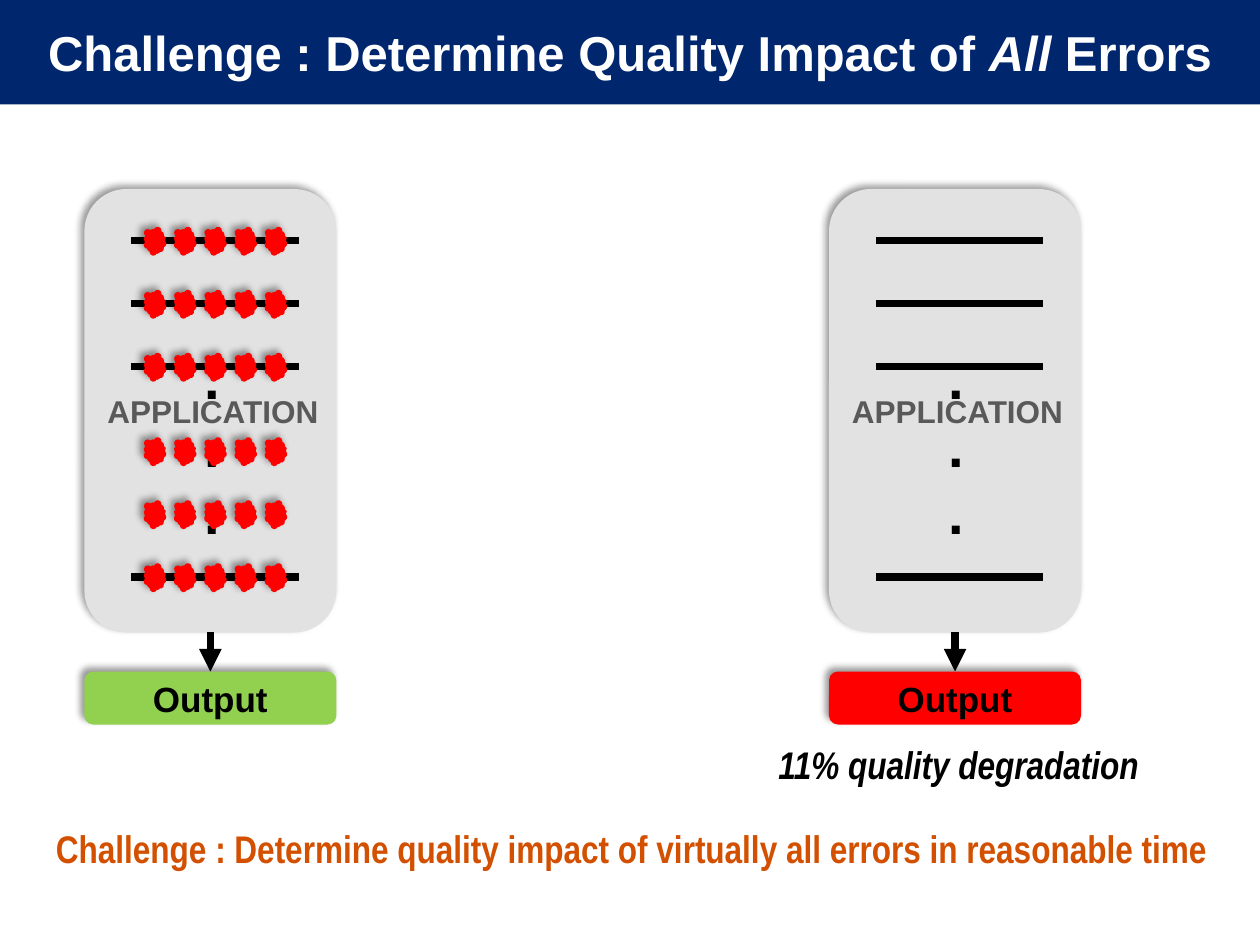
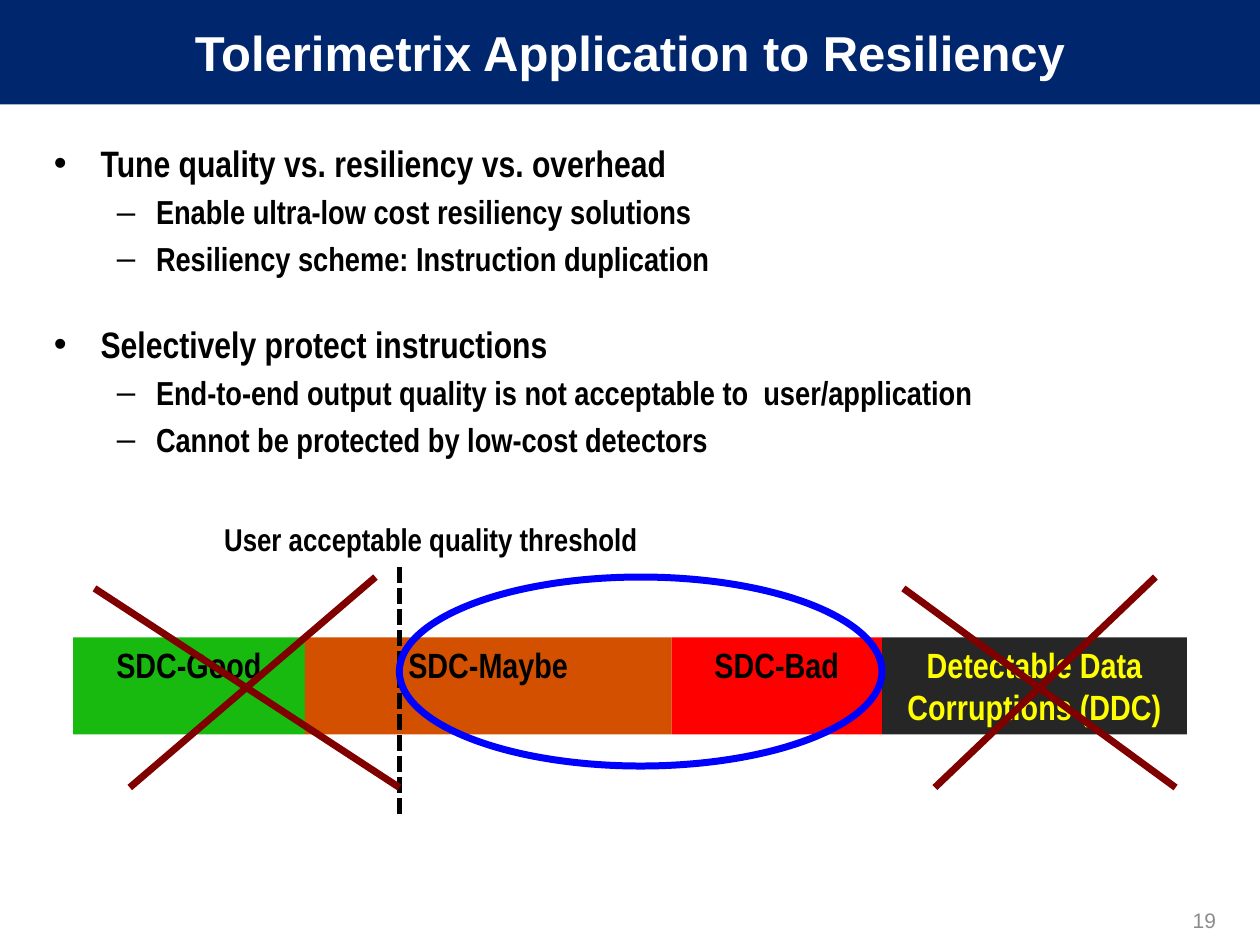
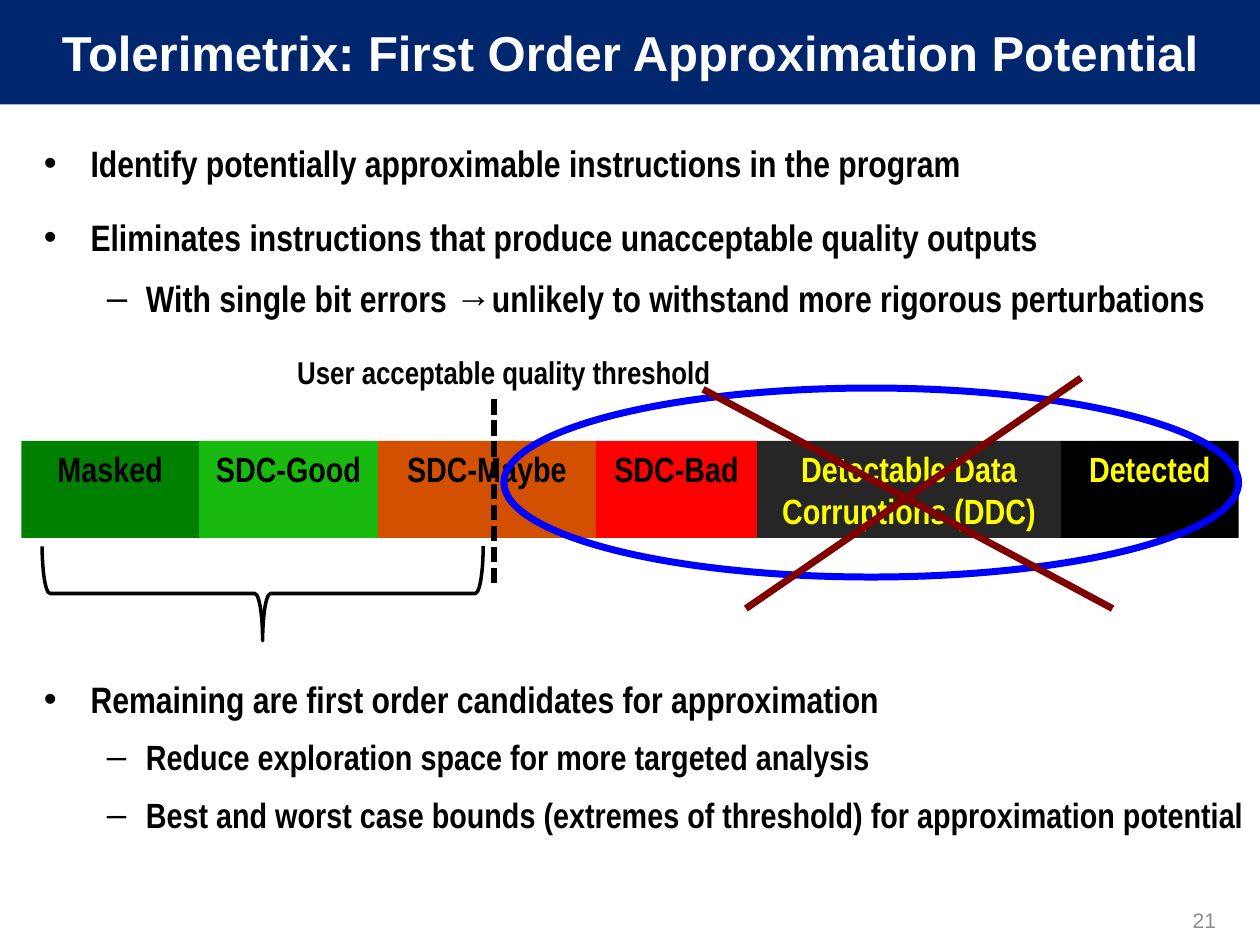
from dataclasses import dataclass
from itertools import pairwise, product

from lxml.etree import SubElement
from pptx import Presentation
from pptx.dml.color import RGBColor
from pptx.enum.dml import MSO_LINE
from pptx.enum.shapes import MSO_CONNECTOR, MSO_SHAPE as Preset
from pptx.enum.text import MSO_ANCHOR as Anchor, PP_ALIGN as Align
from pptx.oxml.ns import qn
from pptx.util import Inches, Pt


@dataclass(frozen=True)
class Theme:
    heading_font: str = "Arial"
    body_font: str = "Arial Narrow"
    navy: str = "00266E"
    white: str = "FFFFFF"
    black: str = "000000"
    panel: str = "E2E2E2"
    label_gray: str = "595959"
    number_gray: str = "8C8C8C"
    charcoal: str = "262626"
    lime: str = "92D050"
    dark_green: str = "008000"
    green: str = "19BA0F"
    orange: str = "D25000"
    red: str = "FF0000"
    yellow: str = "FFFF00"
    blue: str = "0000FF"
    maroon: str = "800000"
    title_size: int = 28
    dots_size: int = 32
    callout_size: int = 22
    bullet_size: int = 21
    bar_size: int = 20
    label_size: int = 18
    number_size: int = 12
    thick: float = 4.32
    mark: float = 4
    dash: float = 3
    thin: float = 2


THEME = Theme()

MASKED = ("Masked", THEME.dark_green, THEME.black)
GOOD = ("SDC-Good", THEME.green, THEME.black)
MAYBE = ("SDC-Maybe", THEME.orange, THEME.black)
BAD = ("SDC-Bad", THEME.red, THEME.black)
DDC = ("Detectable Data\nCorruptions (DDC)", THEME.charcoal, THEME.yellow)
DETECTED = ("Detected", THEME.black, THEME.yellow)


def rgb(color):
    return RGBColor.from_string(color)


def style_span(span, size, color, font=THEME.body_font, bold=True, italic=False):
    span.font.name = font
    span.font.size = Pt(size)
    span.font.bold = bold
    span.font.italic = italic
    span.font.color.rgb = rgb(color)


def write(shape, text, size, color, align=Align.CENTER, anchor=Anchor.TOP, wrap=True, **style):
    frame = shape.text_frame
    frame.text = text
    frame.word_wrap = wrap
    frame.vertical_anchor = anchor
    for para in frame.paragraphs:
        para.alignment = align
        for span in para.runs:
            style_span(span, size, color, **style)
    return frame


def add_box(page, left, top, width, height):
    return page.shapes.add_textbox(Inches(left), Inches(top), Inches(width), Inches(height))


def add_figure(page, preset, left, top, width, height, fill=None, line=None, weight=0, shadow=False):
    figure = page.shapes.add_shape(preset, Inches(left), Inches(top), Inches(width), Inches(height))
    if fill:
        figure.fill.solid()
        figure.fill.fore_color.rgb = rgb(fill)
    else:
        figure.fill.background()
    if line:
        figure.line.color.rgb = rgb(line)
        figure.line.width = Pt(weight)
    else:
        figure.line.fill.background()
    figure.shadow.inherit = False
    if shadow:
        effects = figure.element.spPr.find(qn("a:effectLst"))
        outer = SubElement(effects, qn("a:outerShdw"), blurRad=str(Pt(4)), dist=str(Pt(3)),
                           dir=str(225 * 60000), algn="br", rotWithShape="0")
        shade = SubElement(outer, qn("a:srgbClr"), val=THEME.black)
        SubElement(shade, qn("a:alpha"), val="40000")
    return figure


def add_line(page, start, end, color, weight, dashed=False, arrow=False):
    ends = [Inches(value) for value in (*start, *end)]
    line = page.shapes.add_connector(MSO_CONNECTOR.STRAIGHT, *ends)
    line.line.color.rgb = rgb(color)
    line.line.width = Pt(weight)
    if dashed:
        line.line.dash_style = MSO_LINE.SQUARE_DOT
    properties = line.element.spPr
    if arrow:
        SubElement(properties.find(qn("a:ln")), qn("a:tailEnd"), type="triangle")
    SubElement(properties, qn("a:effectLst"))


def add_page(deck, title, emphasis=None, number=None):
    page = deck.slides.add_slide(deck.slide_layouts[6])
    band = add_figure(page, Preset.RECTANGLE, 0, 0, 10, 0.83, THEME.navy)
    frame = write(band, title, THEME.title_size, THEME.white, anchor=Anchor.MIDDLE,
                  font=THEME.heading_font)
    if emphasis:
        para = frame.paragraphs[0]
        before, after = title.split(emphasis)
        para.text = before
        for part in (emphasis, after):
            para.add_run().text = part
        for span in para.runs:
            style_span(span, THEME.title_size, THEME.white, THEME.heading_font,
                       italic=span.text == emphasis)
    if number:
        write(add_box(page, 7.42, 7.1, 2.33, 0.4), number, THEME.number_size, THEME.number_gray,
              Align.RIGHT, Anchor.MIDDLE, font=THEME.heading_font, bold=False)
    return page


def add_bullets(page, left, top, width, height, items, sub_size, sub_spacing):
    frame = add_box(page, left, top, width, height).text_frame
    frame.word_wrap = True
    frame.text = "\n".join(text for text, _, _ in items)
    for para, (_, level, spacing) in zip(frame.paragraphs, items):
        size = sub_size if level else THEME.bullet_size
        margin, hang, symbol = ((0.37, 0.37, "•"), (0.81, 0.31, "–"))[level]
        para.level = level
        para.line_spacing = spacing or sub_spacing
        para.space_before = Pt(0.2 * size if level else 12.2)
        style_span(para.runs[0], size, THEME.black)
        properties = para._p.get_or_add_pPr()
        properties.set("marL", str(Inches(margin)))
        properties.set("indent", str(-Inches(hang)))
        SubElement(properties, qn("a:buFont"), typeface="Arial")
        SubElement(properties, qn("a:buChar"), char=symbol)


def add_application(page, left, output_color):
    middle = left + 1
    add_figure(page, Preset.ROUNDED_RECTANGLE, left, 1.5, 2, 3.52, THEME.panel, shadow=True)
    write(add_box(page, left, 3.06, 2.04, 0.4), "APPLICATION", THEME.label_size, THEME.label_gray,
          wrap=False, font=THEME.heading_font)
    for top in (1.91, 2.41, 2.91, 4.58):
        add_line(page, (left + 0.37, top), (left + 1.7, top), THEME.black, THEME.thick)
    dots = write(add_box(page, left + 0.95, 2.66, 0.05, 1.72), ".\n.\n.", THEME.dots_size,
                 THEME.black, Align.LEFT, font=THEME.heading_font)
    dots.margin_left = dots.margin_right = 0
    dots.margin_top = Inches(0.07)
    add_line(page, (middle, 5.02), (middle, 5.33), THEME.black, THEME.thick, arrow=True)
    output = add_figure(page, Preset.ROUNDED_RECTANGLE, left, 5.33, 2, 0.42, output_color, shadow=True)
    write(output, "Output", THEME.bar_size, THEME.black, anchor=Anchor.MIDDLE, font=THEME.heading_font)


def add_errors(page):
    for column, top in product(range(5), (1.83, 2.33, 2.83, 3.5, 4, 4.5)):
        add_figure(page, Preset.EXPLOSION1, 1.17 + 0.24 * column, top, 0.12, 0.17,
                   THEME.red, THEME.red, THEME.thick, shadow=True)


def add_outcome_bar(page, top, edges, outcomes):
    for (left, right), (label, fill, color) in zip(pairwise(edges), outcomes):
        segment = add_figure(page, Preset.RECTANGLE, left, top, right - left, 0.77, fill)
        write(segment, label, THEME.bar_size, color)


def add_threshold(page, x, top, bottom, label_left, label_top):
    add_line(page, (x, top), (x, bottom), THEME.black, THEME.dash, dashed=True)
    write(add_box(page, label_left, label_top, 4, 0.4), "User acceptable quality threshold",
          THEME.label_size, THEME.black)


def add_ring(page, left, top, width):
    add_figure(page, Preset.OVAL, left, top, width, 1.5, line=THEME.blue, weight=THEME.mark)


def add_cross(page, falling, rising, top, bottom):
    add_line(page, (falling[0], top + 0.09), (falling[1], bottom), THEME.maroon, THEME.mark)
    add_line(page, (rising[1], top), (rising[0], bottom), THEME.maroon, THEME.mark)


def build_challenge(deck):
    page = add_page(deck, "Challenge : Determine Quality Impact of All Errors", emphasis="All ")
    add_application(page, 0.67, THEME.lime)
    add_application(page, 6.58, THEME.red)
    add_errors(page)
    write(add_box(page, 6.08, 5.83, 3.17, 0.47), "11% quality degradation",
          THEME.callout_size, THEME.black, Align.LEFT, italic=True)
    write(add_box(page, 0.3, 6.5, 9.42, 0.47),
          "Challenge : Determine quality impact of virtually all errors in reasonable time",
          THEME.callout_size, THEME.orange)


def build_resiliency(deck):
    page = add_page(deck, "Tolerimetrix Application to Resiliency", number="19")
    add_bullets(page, 0.33, 1, 9.42, 2.58, [
        ("Tune quality vs. resiliency vs. overhead", 0, 1.2),
        ("Enable ultra-low cost resiliency solutions", 1, None),
        ("Resiliency scheme: Instruction duplication", 1, None),
        ("Selectively protect instructions", 0, 1.5),
        ("End-to-end output quality is not acceptable to  user/application", 1, None),
        ("Cannot be protected by low-cost detectors", 1, None),
    ], sub_size=19, sub_spacing=1.0)
    add_outcome_bar(page, 5.06, (0.58, 2.42, 5.33, 7, 9.42), (GOOD, MAYBE, BAD, DDC))
    add_threshold(page, 3.17, 4.5, 6.5, 1.42, 4.08)
    add_ring(page, 3.17, 4.58, 3.83)
    add_cross(page, (0.75, 3.17), (1.03, 2.98), 4.58, 6.25)
    add_cross(page, (7.17, 9.33), (7.42, 9.17), 4.58, 6.25)


def build_potential(deck):
    page = add_page(deck, "Tolerimetrix: First Order Approximation Potential", number="21")
    add_bullets(page, 0.25, 1, 9.75, 1.08, [
        ("Identify potentially approximable instructions in the program", 0, 1.2),
        ("Eliminates instructions that produce unacceptable quality outputs", 0, 1.2),
        ("With single bit errors →unlikely to withstand more rigorous perturbations", 1, None),
    ], sub_size=21, sub_spacing=1.2)
    add_bullets(page, 0.25, 5.25, 9.75, 1.75, [
        ("Remaining are first order candidates for approximation", 0, 1.2),
        ("Reduce exploration space for more targeted analysis", 1, None),
        ("Best and worst case bounds (extremes of threshold) for approximation potential", 1, None),
    ], sub_size=20, sub_spacing=1.2)
    add_outcome_bar(page, 3.5, (0.17, 1.58, 3, 4.73, 6.01, 8.42, 9.83),
                    (MASKED, GOOD, MAYBE, BAD, DDC, DETECTED))
    add_ring(page, 4, 3.08, 5.83)
    add_cross(page, (5.58, 8.83), (5.92, 8.58), 3, 4.83)
    brace = add_figure(page, Preset.LEFT_BRACE, 1.71, 2.96, 0.75, 3.5,
                       line=THEME.black, weight=THEME.thin)
    brace.rotation = 270
    add_threshold(page, 3.92, 3.17, 4.67, 2, 2.75)


def main():
    deck = Presentation()
    deck.slide_width = Inches(10)
    deck.slide_height = Inches(7.5)
    build_challenge(deck)
    build_resiliency(deck)
    build_potential(deck)
    deck.save("out.pptx")


if __name__ == "__main__":
    main()
